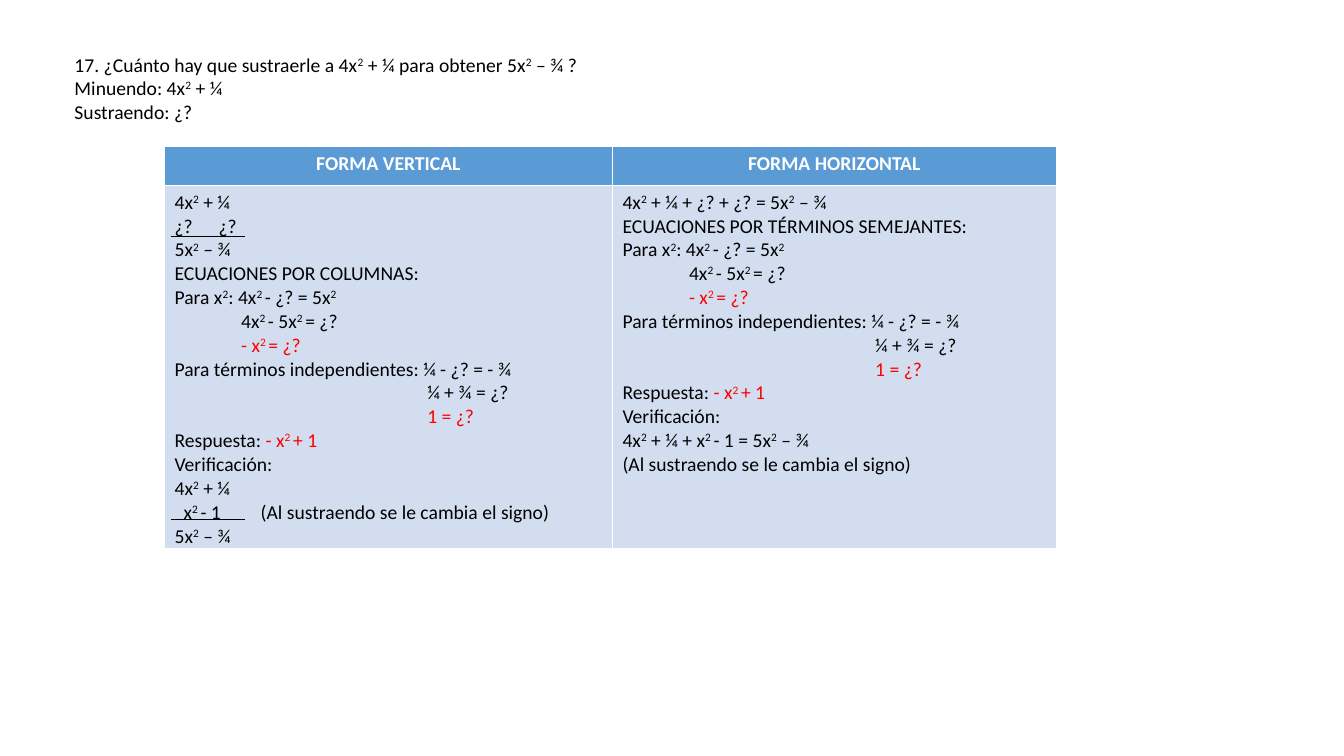
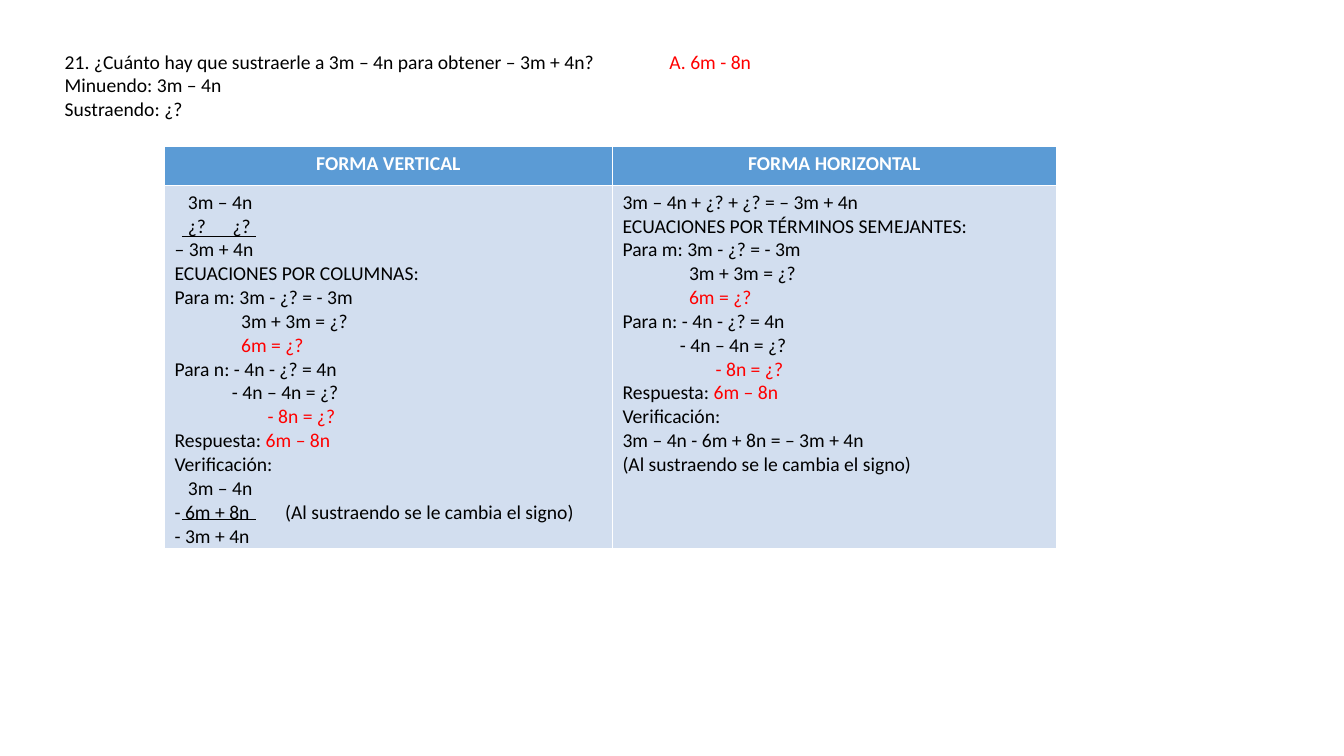
import pptx
import pptx.util
import pptx.dml.color
import pptx.enum.shapes
import pptx.enum.text
import pptx.oxml.ns
import lxml.etree

Pt = pptx.util.Pt
Align = pptx.enum.text.PP_ALIGN
HUES = {"ink": "000000", "mark": "FF0000", "head": "5B9BD5", "body": "D2DEEF", "pale": "FFFFFF"}
NOTE = "(Al sustraendo se le cambia el signo)"


def hue(name):
    """Return the named colour."""
    return pptx.dml.color.RGBColor.from_string(HUES[name])


class Deck:
    """Hold the style and the current slide; in text, * toggles red and ^ superscript."""

    font = "Calibri"
    size = 14

    def __init__(self):
        """Start an empty wide deck."""
        self.file = pptx.Presentation()
        self.file.slide_width, self.file.slide_height = Pt(960), Pt(540)

    def page(self):
        """Add a slide that has only a title."""
        self.slide = self.file.slides.add_slide(self.file.slide_layouts[5])

    def put(self, frame, lines, color="ink", bold=False, align=Align.LEFT):
        """Fill a frame with lines, each a text or a tuple of a text and its tab stops."""
        for row, line in enumerate(lines):
            text, *stops = (line,) if isinstance(line, str) else line
            para = frame.paragraphs[0] if row == 0 else frame.add_paragraph()
            para.alignment = align
            if stops:
                self.tabs(para, stops)
            for i, part in enumerate(text.split("*")):
                for j, bit in enumerate(part.split("^")):
                    if bit:
                        run = para.add_run()
                        run.text = bit
                        run.font.name, run.font.size = self.font, Pt(self.size)
                        run.font.bold = bold
                        run.font.color.rgb = hue("mark" if i % 2 else color)
                        if j % 2:
                            run.font._element.set("baseline", "30000")

    def tabs(self, para, stops):
        """Set left tab stops."""
        tag = pptx.oxml.ns.qn
        group = lxml.etree.SubElement(para._p.get_or_add_pPr(), tag("a:tabLst"))
        for stop in stops:
            lxml.etree.SubElement(group, tag("a:tab"), pos=str(int(Pt(stop))), algn="l")

    def title(self, left, top, width, lines):
        """Place the problem in the title."""
        box = self.slide.shapes.title
        box.left, box.top, box.width, box.height = Pt(left), Pt(top), Pt(width), Pt(58)
        frame = box.text_frame
        frame.word_wrap = True
        frame.auto_size = pptx.enum.text.MSO_AUTO_SIZE.SHAPE_TO_FIT_TEXT
        frame.vertical_anchor = pptx.enum.text.MSO_ANCHOR.TOP
        self.put(frame, lines)

    def table(self, heads, bodies):
        """Add the table of the two methods."""
        wides, highs = (320, 317), (28, 259)
        grid = self.slide.shapes.add_table(
            2, 2, Pt(117.5), Pt(104.5), Pt(sum(wides)), Pt(sum(highs))).table
        grid.horz_banding = False
        for row, high in zip(grid.rows, highs):
            row.height = Pt(high)
        for col, wide in enumerate(wides):
            grid.columns[col].width = Pt(wide)
            head, body = grid.cell(0, col), grid.cell(1, col)
            for cell, name in ((head, "head"), (body, "body")):
                cell.fill.solid()
                cell.fill.fore_color.rgb = hue(name)
            self.put(head.text_frame, [heads[col]], "pale", True, Align.CENTER)
            self.put(body.text_frame, bodies[col])

    def rule(self, left, top):
        """Draw the thin line above a result."""
        line = self.slide.shapes.add_connector(
            pptx.enum.shapes.MSO_CONNECTOR.STRAIGHT, Pt(left), Pt(top), Pt(left + 53), Pt(top))
        line.line.color.rgb = hue("ink")
        line.line.width = Pt(0.5)
        lxml.etree.SubElement(line._element.spPr, pptx.oxml.ns.qn("a:effectLst"))

    def solve(self, place, ask, setup, steps, proof, total, check, left):
        """Build one solved problem."""
        self.page()
        self.title(*place, ask)
        column = [*setup, "ECUACIONES POR COLUMNAS:", *steps, "Verificación:", *proof]
        across = [total, "ECUACIONES POR TÉRMINOS SEMEJANTES:", *steps, "Verificación:", check, NOTE]
        self.table(("FORMA VERTICAL", "FORMA HORIZONTAL"), (column, across))
        for top in (169, 371):
            self.rule(left, top)


def main():
    """Build both problems."""
    deck = Deck()
    deck.solve(
        place=(46, 34, 593),
        ask=["17. ¿Cuánto hay que sustraerle a 4x^2^ + ¼ para obtener 5x^2^ – ¾ ?",
             "Minuendo: 4x^2^ + ¼", "Sustraendo: ¿?"],
        setup=["4x^2^ + ¼", ("¿?\t¿?", 31.5), "5x^2^ – ¾"],
        steps=["Para x^2^: 4x^2 ^- ¿? = 5x^2^",
               ("\t4x^2 ^- 5x^2 ^= ¿?", 47.5),
               ("\t*- x^2 ^= ¿?*", 47.5),
               "Para términos independientes: ¼ - ¿? = - ¾",
               ("\t¼ + ¾ = ¿?", 180.5),
               ("\t*1 = ¿?*", 180.5),
               "Respuesta: *- x^2 ^+ 1*"],
        proof=["4x^2^ + ¼", ("\tx^2 ^- 1\t" + NOTE, 6.5, 61.5), "5x^2^ – ¾"],
        total="4x^2^ + ¼ + ¿? + ¿? = 5x^2^ – ¾",
        check="4x^2^ + ¼ + x^2 ^- 1 = 5x^2^ – ¾",
        left=122)
    deck.solve(
        place=(39, 32, 704),
        ask=[("21. ¿Cuánto hay que sustraerle a 3m – 4n para obtener – 3m + 4n?\t*A. 6m - 8n*", 432),
             "Minuendo: 3m – 4n", "Sustraendo: ¿?"],
        setup=[("\t3m – 4n", 9.5), ("\t¿?\t¿?", 9.5, 41.5), "– 3m + 4n"],
        steps=["Para m: 3m - ¿? = - 3m",
               ("\t3m + 3m = ¿?", 47.5),
               ("\t*6m = ¿?*", 47.5),
               "Para n: - 4n - ¿? = 4n",
               ("\t- 4n – 4n = ¿?", 41),
               ("\t*- 8n = ¿?*", 66.5),
               "Respuesta: *6m – 8n*"],
        proof=[("\t3m – 4n", 9.5), ("- 6m + 8n\t" + NOTE, 79), "- 3m + 4n"],
        total="3m – 4n + ¿? + ¿? = – 3m + 4n",
        check="3m – 4n - 6m + 8n = – 3m + 4n",
        left=130)
    deck.file.save("out.pptx")


if __name__ == "__main__":
    main()
